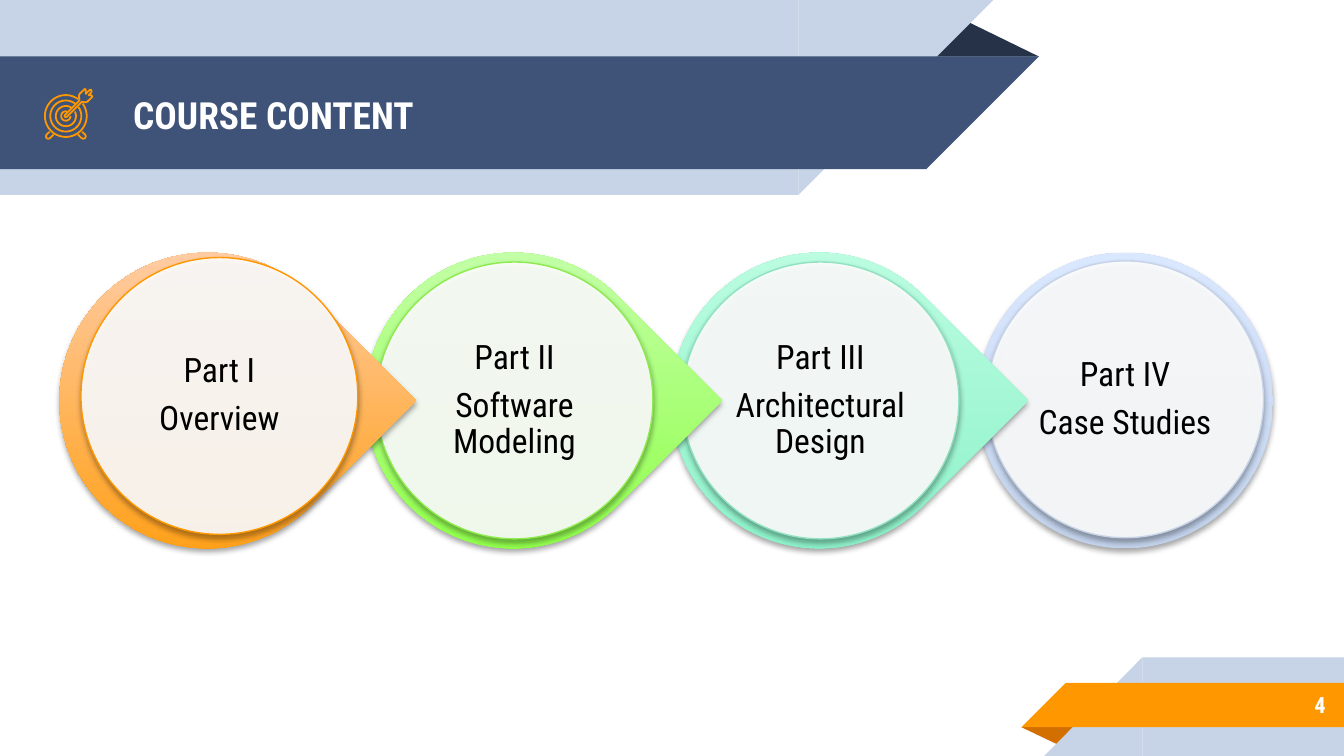
from math import cos, radians, sin

from lxml.etree import SubElement
from pptx import Presentation
from pptx.dml.color import RGBColor
from pptx.enum.shapes import MSO_SHAPE as Preset
from pptx.enum.text import MSO_ANCHOR as Anchor, PP_ALIGN as Align
from pptx.oxml.ns import qn
from pptx.util import Pt

FONT = "Roboto Condensed"
COLORS = {
    "white": "FFFFFF", "black": "000000", "pale": "C7D3E6", "navy": "3F5378",
    "dark": "263248", "orange": "FF9800", "rust": "D26F00",
}
RIBBONS = [
    (Preset.ISOSCELES_TRIANGLE, (495.4, 10.1, 61.2, 20.2), "dark", 0, False),
    (Preset.RECTANGLE, (0, 0, 427.7, 104.4), "pale", 0, False),
    (Preset.RIGHT_TRIANGLE, (427.7, 0, 104.4, 104.4), "pale", 180, True),
    (Preset.RECTANGLE, (0, 30.2, 496.1, 60.5), "navy", 0, False),
    (Preset.RIGHT_TRIANGLE, (496.1, 30.2, 60.5, 60.5), "navy", 180, True),
    (Preset.ISOSCELES_TRIANGLE, (547.2, 389.6, 31, 10), "rust", 180, False),
    (Preset.RECTANGLE, (612, 352.2, 108, 52.8), "pale", 0, False),
    (Preset.RIGHT_TRIANGLE, (559.4, 352.2, 52.6, 52.8), "pale", 0, True),
    (Preset.RECTANGLE, (571, 365.8, 149, 23.8), "orange", 0, False),
    (Preset.RIGHT_TRIANGLE, (547.2, 365.8, 23.8, 23.8), "orange", 0, True),
]
TARGET_CENTER = (35.3, 62.2)
RINGS = [(11.2, -54, -36), (8.3, -54, -36), (5.4, -57, -27), (2.5, -75, 0)]
FOOT = [(26.6, 70.6), (25, 72.1), (24.6, 72.9), (24.9, 74), (25.9, 74.4), (26.9, 74), (28.8, 72.1)]
ARROW = [
    (49, 51.1), (47.5, 51.1), (49, 49.4), (49.1, 48.4), (48.2, 48), (46, 50.3),
    (46, 48.1), (45.4, 47.6), (42.6, 50.4), (42.3, 51.3), (42.6, 53.8), (34.6, 61.8),
    (34.8, 62.7), (35.8, 62.6), (43.8, 54.6), (46, 54.8), (46.8, 54.5), (49.5, 51.8),
]
PARTS = [
    ("Part I", "Overview", "FF9800", "FFD4BD", "FF9800", (11.6, 2.6)),
    ("Part II", "Software Modeling", "88FF3A", "CCFFB8", "8DEB4E", (5.8, 5)),
    ("Part III", "Architectural Design", "84EFC5", "C4FFE5", "91E2C2", (5.8, 5)),
    ("Part IV", "Case Studies", "C2D2EB", "D9E7FF", "C7D3E6", (5.1, 4.4)),
]
PART_LEFT, PART_TOP, PART_STEP = 31.8, 135.4, 163.9
OUTER_SIZE, INNER_SIZE, LABEL_SIZE = 158.4, 148.3, 105.8


def rgb(name):
    """Return the colour for a palette name or a hex string."""
    return RGBColor.from_string(COLORS.get(name, name))


def add_preset(slide, preset, box):
    """Add a preset shape without line or shadow."""
    shape = slide.shapes.add_shape(preset, *map(Pt, box))
    shape.line.fill.background()
    shape.shadow.inherit = False
    return shape


def add_ribbon(slide, preset, box, color, rotation, flipped):
    """Add one flat piece of the folded ribbons."""
    shape = add_preset(slide, preset, box)
    shape.fill.solid()
    shape.fill.fore_color.rgb = rgb(color)
    shape.rotation = rotation
    if preset == Preset.ISOSCELES_TRIANGLE:
        shape.adjustments[0] = 0.324
    if flipped:
        shape._element.spPr.find(qn("a:xfrm")).set("flipH", "1")


def add_outline(slide, points, close=False):
    """Draw an unfilled orange line through the points."""
    corners = [(Pt(x), Pt(y)) for x, y in points]
    builder = slide.shapes.build_freeform(*corners[0])
    builder.add_line_segments(corners[1:], close=close)
    shape = builder.convert_to_shape()
    shape.fill.background()
    shape.line.color.rgb = rgb("orange")
    shape.line.width = Pt(0.96)
    shape.shadow.inherit = False


def add_target(slide):
    """Draw the target icon with its rings, feet and arrow."""
    center_x, center_y = TARGET_CENTER
    for radius, gap_start, gap_end in RINGS:
        angles = [radians(a) for a in range(gap_end, gap_start + 361, 3)]
        add_outline(slide, [(center_x + radius * cos(a), center_y + radius * sin(a)) for a in angles])
    add_outline(slide, FOOT)
    add_outline(slide, [(2 * center_x - x, y) for x, y in FOOT])
    add_outline(slide, ARROW, close=True)


def add_soft_shadow(shape):
    """Give the shape a soft shadow below it."""
    effects = shape._element.spPr.find(qn("a:effectLst"))
    shadow = SubElement(effects, qn("a:outerShdw"), blurRad=str(Pt(3.1)), dist=str(Pt(1.8)),
                        dir="5400000", algn="ctr", rotWithShape="0")
    color = SubElement(shadow, qn("a:srgbClr"), val=COLORS["black"])
    SubElement(color, qn("a:alpha"), val="35000")


def write_text(shape, lines, size, color, align, inset, bold=False):
    """Fill a text shape with formatted paragraphs."""
    frame = shape.text_frame
    frame.word_wrap = True
    frame.vertical_anchor = Anchor.MIDDLE
    frame.margin_left = frame.margin_right = frame.margin_top = frame.margin_bottom = Pt(inset)
    frame.text = "\n".join(lines)
    for paragraph in frame.paragraphs:
        paragraph.alignment = align
        for run in paragraph.runs:
            run.font.name = FONT
            run.font.size = Pt(size)
            run.font.bold = bold
            run.font.color.rgb = rgb(color)


def add_part(slide, index):
    """Add one course part: coloured drop, pale disc and label."""
    name, topic, bottom, top, outline, (inner_x, inner_y) = PARTS[index]
    left = PART_LEFT + index * PART_STEP
    is_last = index == len(PARTS) - 1
    drop = add_preset(slide, Preset.OVAL if is_last else Preset.TEAR,
                      (left, PART_TOP, OUTER_SIZE, OUTER_SIZE))
    drop.rotation = 0 if is_last else 45
    drop.fill.gradient()
    drop.fill.gradient_angle = 90
    for stop, color in zip(drop.fill.gradient_stops, (bottom, top)):
        stop.color.rgb = rgb(color)
    drop._element.spPr.find(qn("a:gradFill")).set("rotWithShape", "0")
    add_soft_shadow(drop)

    inner_left, inner_top = left + inner_x, PART_TOP + inner_y
    disc = add_preset(slide, Preset.OVAL, (inner_left, inner_top, INNER_SIZE, INNER_SIZE))
    disc.fill.solid()
    disc.fill.fore_color.rgb = rgb("white")
    fill_color = disc._element.spPr.find(qn("a:solidFill")).find(qn("a:srgbClr"))
    SubElement(fill_color, qn("a:alpha"), val="90000")
    disc.line.color.rgb = rgb(outline)
    disc.line.width = Pt(0.75)
    add_soft_shadow(disc)

    gap = (INNER_SIZE - LABEL_SIZE) / 2
    box = (inner_left + gap, inner_top + gap, LABEL_SIZE, LABEL_SIZE)
    label = slide.shapes.add_textbox(*map(Pt, box))
    write_text(label, [name, topic], 18, "black", Align.CENTER, 2)
    for paragraph in label.text_frame.paragraphs:
        paragraph.line_spacing = 0.9
        paragraph.space_after = Pt(6.3)


def add_title(slide, text):
    """Place the title placeholder on top of the ribbon."""
    title = slide.shapes.title
    title.left, title.top, title.width, title.height = map(Pt, (64.1, 31, 414, 60.5))
    write_text(title, [text], 20, "white", Align.LEFT, 7.2, bold=True)
    slide.shapes._spTree.append(title._element)


def main():
    """Build the course content slide."""
    presentation = Presentation()
    presentation.slide_width, presentation.slide_height = Pt(720), Pt(405)
    slide = presentation.slides.add_slide(presentation.slide_layouts[5])
    for ribbon in RIBBONS:
        add_ribbon(slide, *ribbon)
    add_title(slide, "COURSE CONTENT")
    number = slide.shapes.add_textbox(*map(Pt, (599.8, 365, 117.4, 25.2)))
    write_text(number, ["4"], 12, "white", Align.RIGHT, 7.2, bold=True)
    add_target(slide)
    for index in reversed(range(len(PARTS))):
        add_part(slide, index)
    presentation.save("out.pptx")


if __name__ == "__main__":
    main()
